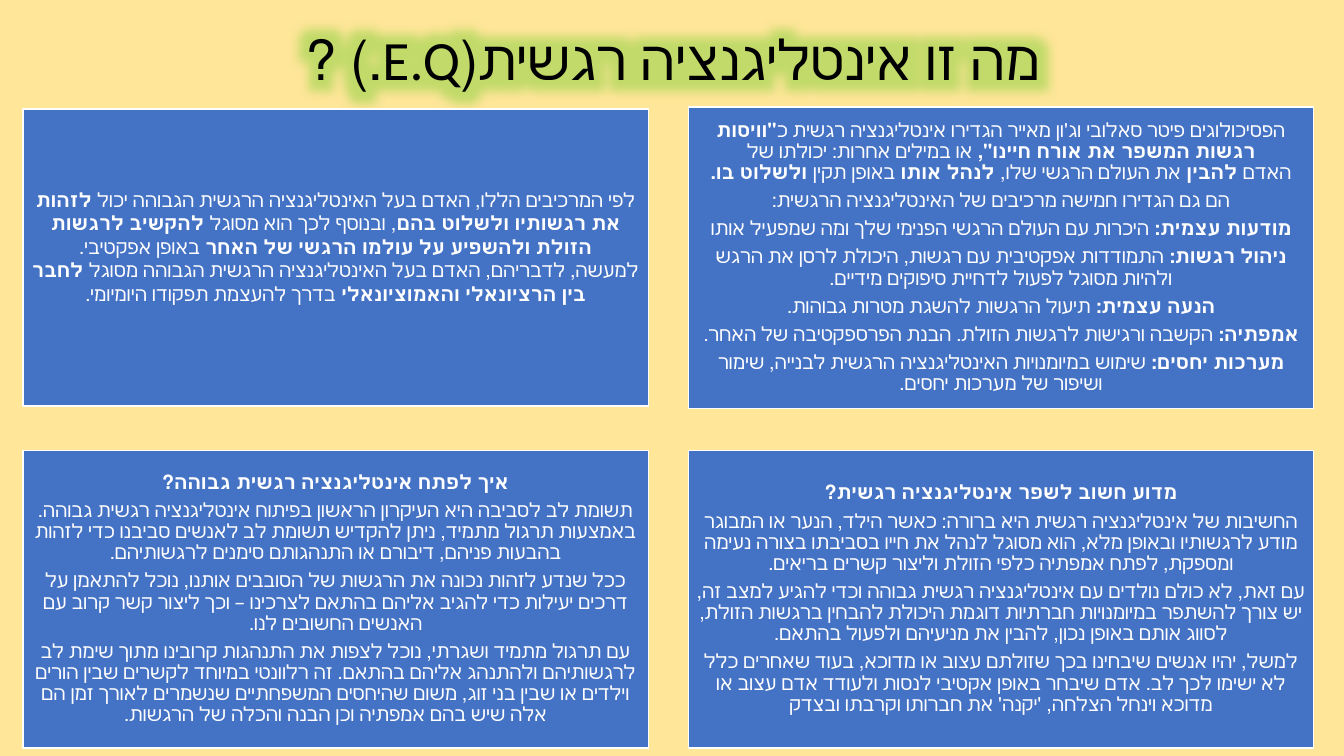
import pptx
import pptx.dml.color
import pptx.enum.lang
import pptx.enum.shapes
import pptx.enum.text
import pptx.oxml
import pptx.oxml.ns
import pptx.util
from dataclasses import dataclass


@dataclass(frozen=True)
class Theme:
    """Colours, font and type sizes of the slide."""
    background: str = "FFE699"
    panel: str = "4472C4"
    light: str = "FFFFFF"
    dark: str = "000000"
    glow: str = "66CA23"
    font: str = "Calibri"
    title_size: float = 39.6
    body_size: float = 14


THEME = Theme()
INCH = pptx.util.Inches
HARD_SPACE = chr(160)
TITLE = "מה זו אינטליגנציה רגשית(E.Q.) ?"

COMPONENTS = [
    "הפסיכולוגים פיטר סאלובי וג'ון מאייר הגדירו אינטליגנציה רגשית כ*\"וויסות רגשות המשפר את אורח חיינו\",*_או במילים אחרות: יכולתו של האדם_*להבין_*את העולם הרגשי שלו,_*לנהל אותו*_באופן תקין_*ולשלוט בו.*",
    "הם גם הגדירו חמישה מרכיבים של האינטליגנציה הרגשית:",
    "*מודעות עצמית:*_היכרות עם העולם הרגשי הפנימי שלך ומה שמפעיל אותו",
    "*ניהול רגשות:*_התמודדות אפקטיבית עם רגשות, היכולת לרסן את הרגש ולהיות מסוגל לפעול לדחיית סיפוקים מידיים.",
    "*הנעה עצמית:*_תיעול הרגשות להשגת מטרות גבוהות.",
    "*אמפתיה:*_הקשבה ורגישות לרגשות הזולת. הבנת הפרספקטיבה של האחר.",
    "*מערכות יחסים:*_שימוש במיומנויות האינטליגנציה הרגשית לבנייה, שימור ושיפור של מערכות יחסים.",
]
ABILITIES = [
    "לפי המרכיבים הללו, האדם בעל האינטליגנציה הרגשית הגבוהה יכול_*לזהות את רגשותיו ולשלוט בהם*, ובנוסף לכך הוא מסוגל_*להקשיב לרגשות הזולת ולהשפיע על עולמו הרגשי של האחר*_באופן אפקטיבי.",
    "למעשה, לדבריהם, האדם בעל האינטליגנציה הרגשית הגבוהה מסוגל_*לחבר בין הרציונאלי והאמוציונאלי_*בדרך להעצמת תפקודו היומיומי.",
]
IMPORTANCE = [
    "*מדוע חשוב לשפר אינטליגנציה רגשית?*",
    "החשיבות של אינטליגנציה רגשית היא ברורה: כאשר הילד, הנער או המבוגר מודע לרגשותיו ובאופן מלא, הוא מסוגל לנהל את חייו בסביבתו בצורה נעימה ומספקת, לפתח אמפתיה כלפי הזולת וליצור קשרים בריאים.",
    "עם זאת, לא כולם נולדים עם אינטליגנציה רגשית גבוהה וכדי להגיע למצב זה, יש צורך להשתפר במיומנויות חברתיות דוגמת היכולת להבחין ברגשות הזולת, לסווג אותם באופן נכון, להבין את מניעיהם ולפעול בהתאם.",
    "למשל, יהיו אנשים שיבחינו בכך שזולתם עצוב או מדוכא, בעוד שאחרים כלל לא ישימו לכך לב. אדם שיבחר באופן אקטיבי לנסות ולעודד אדם עצוב או מדוכא וינחל הצלחה, 'יקנה' את חברותו וקרבתו ובצדק",
]
DEVELOPMENT = [
    "*איך לפתח אינטליגנציה רגשית גבוהה?*",
    "תשומת לב לסביבה היא העיקרון הראשון בפיתוח אינטליגנציה רגשית גבוהה. באמצעות תרגול מתמיד, ניתן להקדיש תשומת לב לאנשים סביבנו כדי לזהות בהבעות פניהם, דיבורם או התנהגותם סימנים לרגשותיהם.",
    "ככל שנדע לזהות נכונה את הרגשות של הסובבים אותנו, נוכל להתאמן על דרכים יעילות כדי להגיב אליהם בהתאם לצרכינו – וכך ליצור קשר קרוב עם האנשים החשובים לנו.",
    "עם תרגול מתמיד ושגרתי, נוכל לצפות את התנהגות קרובינו מתוך שימת לב לרגשותיהם ולהתנהג אליהם בהתאם. זה רלוונטי במיוחד לקשרים שבין הורים וילדים או שבין בני זוג, משום שהיחסים המשפחתיים שנשמרים לאורך זמן הם אלה שיש בהם אמפתיה וכן הבנה והכלה של הרגשות.",
]


def color(value):
    """Return the colour for a hex value."""
    return pptx.dml.color.RGBColor.from_string(value)


def add_span(para, text, size, ink, bold=False):
    """Add one Hebrew run to a paragraph."""
    span = para.add_run()
    span.text = text.replace("_", HARD_SPACE)
    font = span.font
    font.name, font.size, font.bold = THEME.font, pptx.util.Pt(size), bold
    font.color.rgb = color(ink)
    font.language_id = pptx.enum.lang.MSO_LANGUAGE_ID.HEBREW


def write(frame, paragraphs, size, ink, spacing=0.9, after=0):
    """Write right-to-left paragraphs; asterisks enclose bold, underscores are hard spaces."""
    frame.word_wrap = True
    frame.vertical_anchor = pptx.enum.text.MSO_ANCHOR.MIDDLE
    for index, text in enumerate(paragraphs):
        para = frame.add_paragraph() if index else frame.paragraphs[0]
        para.alignment = pptx.enum.text.PP_ALIGN.CENTER
        para.line_spacing, para.space_after = spacing, pptx.util.Pt(after)
        para._p.get_or_add_pPr().set("rtl", "1")
        for part, words in enumerate(text.split("*")):
            if words:
                add_span(para, words, size, ink, part % 2 == 1)


def add_title(page, left, top, width, height):
    """Place the glowing title in its box."""
    box = page.shapes.add_textbox(*map(INCH, (left, top, width, height)))
    write(box.text_frame, [TITLE], THEME.title_size, THEME.dark)
    span = box.text_frame.paragraphs[0].runs[0]
    glow = pptx.oxml.parse_xml(
        f'<a:effectLst {pptx.oxml.ns.nsdecls("a")}><a:glow rad="{pptx.util.Pt(36)}">'
        f'<a:srgbClr val="{THEME.glow}"><a:alpha val="40000"/></a:srgbClr>'
        '</a:glow></a:effectLst>')
    span.font._element.find(pptx.oxml.ns.qn("a:solidFill")).addnext(glow)


def add_panel(page, left, top, width, height, paragraphs, spacing=0.9, after=4.9, foot=0.06):
    """Place one blue text panel in its box."""
    panel = page.shapes.add_shape(
        pptx.enum.shapes.MSO_SHAPE.RECTANGLE, *map(INCH, (left, top, width, height)))
    panel.shadow.inherit = False
    panel.fill.solid()
    panel.fill.fore_color.rgb = color(THEME.panel)
    panel.line.color.rgb = color(THEME.light)
    panel.line.width = pptx.util.Pt(1)
    frame = panel.text_frame
    frame.margin_left = frame.margin_right = frame.margin_top = INCH(0.06)
    frame.margin_bottom = INCH(foot)
    write(frame, paragraphs, THEME.body_size, THEME.light, spacing, after)


def add_panels(page, left, top, width, height):
    """Fill the area with a two by two grid of panels."""
    panel_width, panel_height, extra = 6.2, 2.95, 0.02
    right = left + width - panel_width
    lower = top + height - panel_height
    add_panel(page, left, top, panel_width, panel_height, ABILITIES, 1, 0, 0.28)
    add_panel(page, right, top - extra, panel_width, panel_height + 2 * extra, COMPONENTS)
    add_panel(page, left, lower, panel_width, panel_height, DEVELOPMENT)
    add_panel(page, right, lower, panel_width, panel_height, IMPORTANCE)


def main():
    """Build and save the slide."""
    deck = pptx.Presentation()
    deck.slide_width, deck.slide_height = INCH(13.33), INCH(7.5)
    page = deck.slides.add_slide(deck.slide_layouts[6])
    page.background.fill.solid()
    page.background.fill.fore_color.rgb = color(THEME.background)
    add_title(page, 0.92, 0.4, 11.5, 0.44)
    add_panels(page, 0.23, 1.08, 12.8, 6.34)
    deck.save("out.pptx")


if __name__ == "__main__":
    main()
